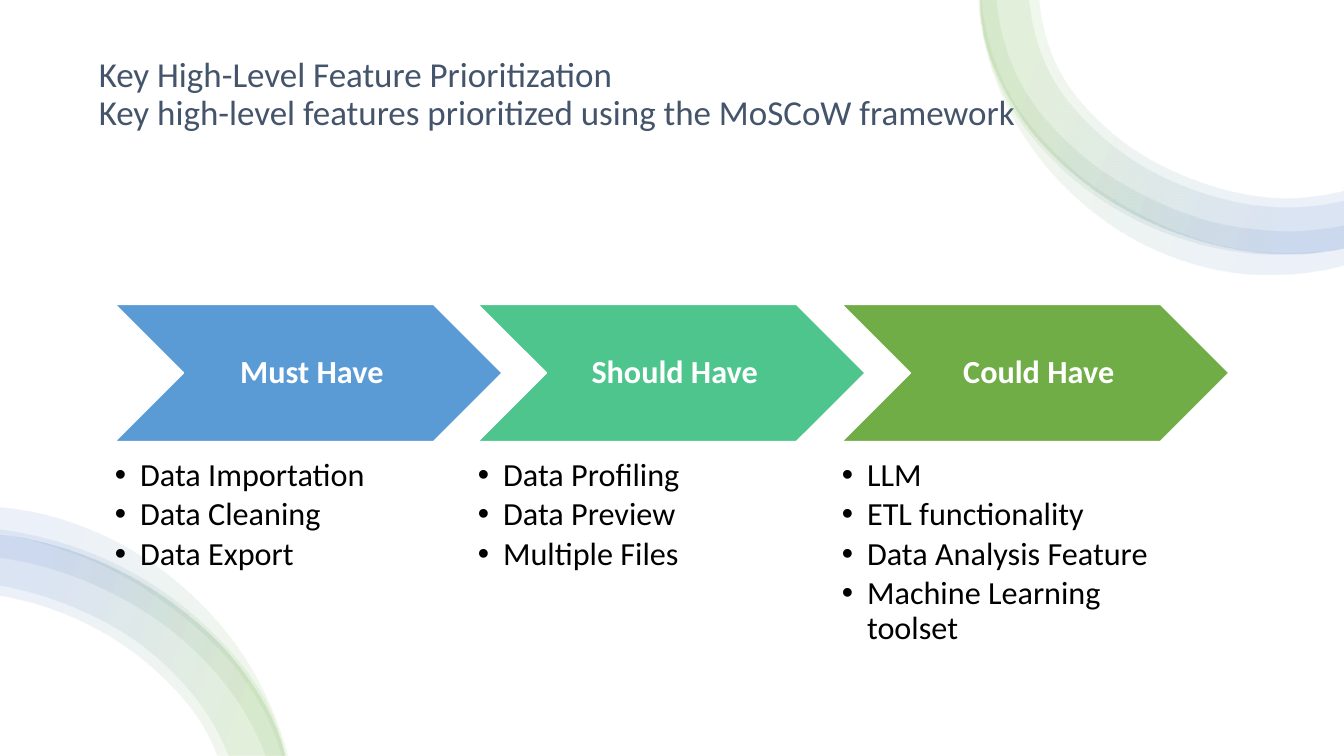
from dataclasses import dataclass
from math import dist

from lxml.etree import SubElement
from pptx import Presentation
from pptx.dml.color import RGBColor
from pptx.enum.shapes import MSO_SHAPE
from pptx.enum.text import MSO_ANCHOR, MSO_AUTO_SIZE, PP_ALIGN
from pptx.oxml.ns import qn
from pptx.util import Pt

EMU_PER_PX = 9144


@dataclass(frozen=True)
class Theme:
    font: str = "Calibri"
    title_size: int = 25
    body_size: int = 23
    bullet_gap: float = 3.4
    line_spacing: float = 0.9
    white: str = "FFFFFF"
    black: str = "000000"
    title: str = "44546A"
    must: str = "5B9BD5"
    should: str = "4DC58D"
    could: str = "70AD47"
    swoosh_stops: tuple = ((16, "70AD47"), (85, "4472C4"))
    swoosh_opacity: int = 10


def px(value):
    return round(value * EMU_PER_PX)


def curve_controls(knots):
    lengths = [dist(a, b) for a, b in zip(knots, knots[1:])]
    slopes = [((b[0] - a[0]) / size, (b[1] - a[1]) / size)
              for a, b, size in zip(knots, knots[1:], lengths)]
    tangents = [tuple((after * s + before * t) / (before + after) for s, t in zip(*pair))
                for pair, before, after in zip(zip(slopes, slopes[1:]), lengths, lengths[1:])]
    first = tuple(2 * s - t for s, t in zip(slopes[0], tangents[0]))
    last = tuple(2 * s - t for s, t in zip(slopes[-1], tangents[-1]))
    tangents = [first, *tangents, last]
    return [(tuple(k + t * size / 3 for k, t in zip(knots[i], tangents[i])),
             tuple(k - t * size / 3 for k, t in zip(knots[i + 1], tangents[i + 1])))
            for i, size in enumerate(lengths)]


class SlideBuilder:
    def __init__(self, slide, theme):
        self.slide = slide
        self.theme = theme

    def preset(self, kind, color, left, top, width, height):
        shape = self.slide.shapes.add_shape(kind, *map(px, (left, top, width, height)))
        shape.shadow.inherit = False
        shape.fill.solid()
        shape.fill.fore_color.rgb = RGBColor.from_string(color)
        return shape

    def backdrop(self, width, height):
        self.preset(MSO_SHAPE.RECTANGLE, self.theme.white, 0, 0, width, height).line.fill.background()

    def format_frame(self, frame, margins, anchor):
        frame.word_wrap = True
        frame.auto_size = MSO_AUTO_SIZE.NONE
        frame.vertical_anchor = anchor
        frame.margin_left, frame.margin_top, frame.margin_right, frame.margin_bottom = map(px, margins)

    def format_para(self, para, size, color, align=PP_ALIGN.LEFT, bold=False):
        para.alignment = align
        para.line_spacing = self.theme.line_spacing
        para.space_before = Pt(0)
        for span in para.runs:
            span.font.name = self.theme.font
            span.font.size = Pt(size)
            span.font.bold = bold
            span.font.color.rgb = RGBColor.from_string(color)

    def title(self, text, left, top, width, height):
        box = self.slide.shapes.title
        box.left, box.top, box.width, box.height = map(px, (left, top, width, height))
        box.element.getparent().append(box.element)
        self.format_frame(box.text_frame, (10, 7, 10, 5), MSO_ANCHOR.TOP)
        box.text_frame.text = text
        self.format_para(box.text_frame.paragraphs[0], self.theme.title_size, self.theme.title)

    def swoosh(self, outer, inner, angle):
        knots = [(px(x), px(y)) for x, y in outer + inner]
        builder = self.slide.shapes.build_freeform(*knots[0], scale=1.0)
        builder.add_line_segments(knots[1:], close=True)
        band = builder.convert_to_shape()
        self.bend(band, curve_controls(outer) + [None] + curve_controls(inner))
        band.shadow.inherit = False
        band.line.fill.background()
        self.fade(band, angle)

    def bend(self, band, controls):
        lines = list(band.element.iter(qn("a:lnTo")))
        for line, pair in zip(lines, controls):
            if pair is None:
                continue
            line.tag = qn("a:cubicBezTo")
            for position, (x, y) in enumerate(pair):
                point = SubElement(line, qn("a:pt"), x=str(px(x) - band.left), y=str(px(y) - band.top))
                line.insert(position, point)

    def fade(self, band, angle):
        band.fill.gradient()
        band.fill.gradient_angle = 360 - angle
        for stop, (position, color) in zip(band.fill.gradient_stops, self.theme.swoosh_stops):
            stop.position = position / 100
            stop.color.rgb = RGBColor.from_string(color)
        for tint in band.element.spPr.iter(qn("a:srgbClr")):
            SubElement(tint, qn("a:alpha"), val=str(self.theme.swoosh_opacity * 1000))

    def chevron(self, text, color, left, top, width, height):
        shape = self.preset(MSO_SHAPE.CHEVRON, color, left, top, width, height)
        shape.line.color.rgb = RGBColor.from_string(self.theme.white)
        shape.line.width = Pt(1)
        self.format_frame(shape.text_frame, (10, 3, 3, 3), MSO_ANCHOR.MIDDLE)
        shape.text_frame.text = text
        self.format_para(shape.text_frame.paragraphs[0], self.theme.body_size,
                         self.theme.white, PP_ALIGN.CENTER, True)

    def bullets(self, items, left, top, width, height):
        box = self.slide.shapes.add_textbox(*map(px, (left, top, width, height)))
        frame = box.text_frame
        self.format_frame(frame, (0, 0, 0, 0), MSO_ANCHOR.TOP)
        frame.text = "\n".join(items)
        for para in frame.paragraphs:
            para.level = 1
            self.format_para(para, self.theme.body_size, self.theme.black)
            para.space_after = Pt(self.theme.bullet_gap)
            properties = para._p.get_or_add_pPr()
            properties.set("marL", str(px(25)))
            properties.set("indent", str(px(-25)))
            SubElement(properties, qn("a:buFont"), typeface="Arial")
            SubElement(properties, qn("a:buChar"), char="•")


TOP_OUTER = [(973, -1), (974, 20), (1009, 110), (1080, 184), (1174, 233), (1279, 251), (1334, 245)]
TOP_SWOOSHES = [
    (TOP_OUTER,
     [(1334, 188), (1279, 196), (1187, 179), (1106, 134), (1050, 68), (1031, -1)]),
    (TOP_OUTER,
     [(1334, 198), (1279, 205), (1184, 188), (1100, 141), (1042, 73), (1021, -1)]),
    ([(973, -1), (978, 43), (994, 89), (1054, 168), (1139, 224), (1239, 251), (1291, 252), (1334, 246)],
     [(1334, 223), (1289, 229), (1242, 227), (1195, 218), (1150, 201), (1071, 152), (1012, 81), (989, -1)]),
    ([(971, -1), (972, 13), (991, 87), (1046, 174), (1131, 240), (1236, 271), (1292, 270), (1334, 262)],
     [(1334, 245), (1290, 250), (1239, 248), (1190, 237), (1143, 218), (1059, 163), (997, 84), (974, -1)]),
]
BOTTOM_OUTER = [(282, 750), (276, 730), (235, 659), (173, 600), (96, 556), (0, 530)]
BOTTOM_SWOOSHES = [
    ([(285, 750), (271, 708), (245, 657), (189, 590), (115, 538), (29, 508), (0, 504)],
     [(0, 530), (50, 542), (102, 562), (168, 602), (234, 664), (264, 711), (279, 750)]),
    (BOTTOM_OUTER,
     [(0, 591), (53, 605), (143, 656), (205, 728), (215, 750)]),
    ([(283, 750), (268, 705), (200, 618), (106, 556), (24, 530), (0, 526)],
     [(0, 554), (44, 563), (94, 581), (182, 636), (247, 715), (263, 750)]),
    (BOTTOM_OUTER,
     [(0, 581), (56, 596), (150, 648), (214, 724), (226, 750)]),
]


def main():
    theme = Theme()
    deck = Presentation()
    deck.slide_width, deck.slide_height = px(1333), px(750)
    page = SlideBuilder(deck.slides.add_slide(deck.slide_layouts[5]), theme)

    page.backdrop(1333, 750)
    page.title("Key High-Level Feature Prioritization\v"
               "Key high-level features prioritized using the MoSCoW framework", 88, 50, 1157, 130)
    for swooshes, angle in ((TOP_SWOOSHES, 20), (BOTTOM_SWOOSHES, 200)):
        for outer, inner in swooshes:
            page.swoosh(outer, inner, angle)

    priorities = [
        ("Must Have", theme.must, ["Data Importation", "Data Cleaning", "Data Export"]),
        ("Should Have", theme.should, ["Data Profiling", "Data Preview", "Multiple Files"]),
        ("Could Have", theme.could, ["LLM", "ETL functionality", "Data Analysis Feature",
                                     "Machine Learning toolset"]),
    ]
    for column, (name, color, features) in enumerate(priorities):
        left = 114 + column * 721 // 2
        page.chevron(name, color, left, 302, 384, 136)
        page.bullets(features, left, 455, 307, 193)

    deck.save("out.pptx")


if __name__ == "__main__":
    main()
